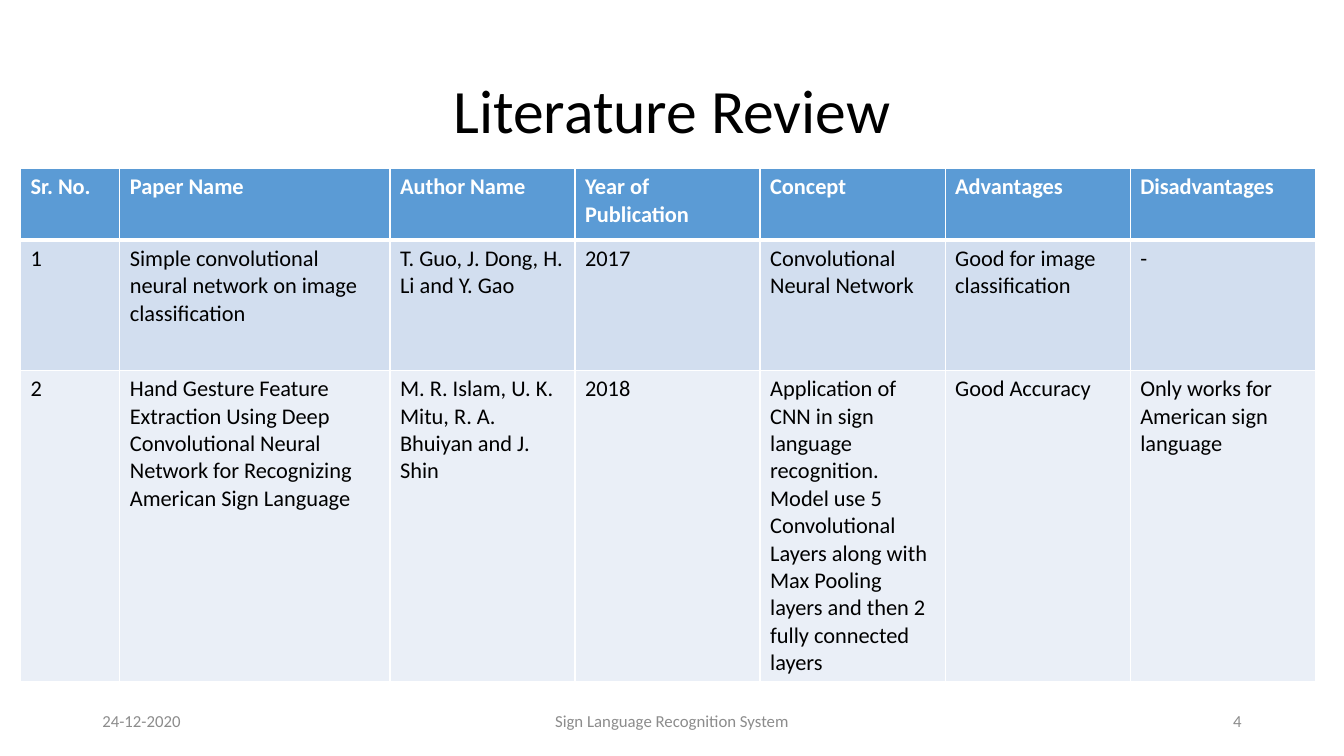
from lxml import etree
from pptx import Presentation
from pptx.dml.color import RGBColor
from pptx.enum.text import MSO_ANCHOR, PP_ALIGN
from pptx.oxml.ns import qn
from pptx.util import Pt

LEFT, CENTER, RIGHT = PP_ALIGN.LEFT, PP_ALIGN.CENTER, PP_ALIGN.RIGHT
MIDDLE = MSO_ANCHOR.MIDDLE
BLACK = RGBColor(0x00, 0x00, 0x00)
WHITE = RGBColor(0xFF, 0xFF, 0xFF)
GREY = RGBColor(0x8C, 0x8C, 0x8C)
HEADER_BLUE = RGBColor(0x5B, 0x9B, 0xD5)
BAND_DARK = RGBColor(0xD2, 0xDE, 0xEF)
BAND_LIGHT = RGBColor(0xEA, 0xEF, 0xF7)


def write(frame, text, size, color, bold=False, align=LEFT):
    para = frame.paragraphs[0]
    para.alignment = align
    span = para.add_run()
    span.text = text
    span.font.color.rgb = color
    for name, value in {"name": "Calibri", "size": Pt(size), "bold": bold}.items():
        setattr(span.font, name, value)


def add_border(cell, side, width):
    """Draw a white line on one side (L, R, T or B) of a table cell."""
    line = etree.SubElement(cell._tc.get_or_add_tcPr(), qn(f"a:ln{side}"), w=str(Pt(width)))
    fill = etree.SubElement(line, qn("a:solidFill"))
    etree.SubElement(fill, qn("a:srgbClr"), val=str(WHITE))


deck = Presentation()
deck.slide_width, deck.slide_height = Pt(960), Pt(540)
page = deck.slides.add_slide(deck.slide_layouts[5])

title = page.shapes.title
title.left, title.top, title.width, title.height = Pt(66), Pt(28.75), Pt(828), Pt(104.4)
title.text_frame.vertical_anchor = MIDDLE
write(title.text_frame, "Literature Review", 44, BLACK, align=CENTER)
title.text_frame.paragraphs[0].line_spacing = 0.9

papers = [
    ["Sr. No.", "Paper Name", "Author Name", "Year of Publication", "Concept",
     "Advantages", "Disadvantages"],
    ["1", "Simple convolutional neural network on image classification",
     "T. Guo, J. Dong, H. Li and Y. Gao", "2017", "Convolutional Neural Network",
     "Good for image classification", "-"],
    ["2", "Hand Gesture Feature Extraction Using Deep Convolutional Neural Network "
     "for Recognizing American Sign Language",
     "M. R. Islam, U. K. Mitu, R. A. Bhuiyan and J. Shin", "2018",
     "Application of CNN in sign language recognition. Model use 5 Convolutional "
     "Layers along with Max Pooling layers and then 2 fully connected layers",
     "Good Accuracy", "Only works for American sign language"],
]
column_widths = [71, 193] + [132.2] * 5
row_heights = [51, 93.2, 222]
row_fills = [HEADER_BLUE, BAND_DARK, BAND_LIGHT]

table = page.shapes.add_table(len(papers), len(column_widths), Pt(14.6), Pt(120.4),
                              Pt(sum(column_widths)), Pt(sum(row_heights))).table
for column, width in zip(table.columns, column_widths):
    column.width = Pt(width)
for row_index, (row, height, fill, texts) in enumerate(
        zip(table.rows, row_heights, row_fills, papers)):
    row.height = Pt(height)
    is_header = row_index == 0
    borders = {"L": 1, "R": 1, "T": 3 if row_index == 1 else 1, "B": 3 if is_header else 1}
    for cell, text in zip(row.cells, texts):
        for side, width in borders.items():
            add_border(cell, side, width)
        cell.fill.solid()
        cell.fill.fore_color.rgb = fill
        write(cell.text_frame, text, 16, WHITE if is_header else BLACK, bold=is_header)

footers = [
    ("24-12-2020", 66, 216, LEFT),
    ("Sign Language Recognition System", 318, 324, CENTER),
    ("4", 678, 216, RIGHT),
]
for text, left, width, align in footers:
    box = page.shapes.add_textbox(Pt(left), Pt(500.5), Pt(width), Pt(28.75))
    box.text_frame.word_wrap = True
    box.text_frame.vertical_anchor = MIDDLE
    write(box.text_frame, text, 12, GREY, align=align)

deck.save("out.pptx")
